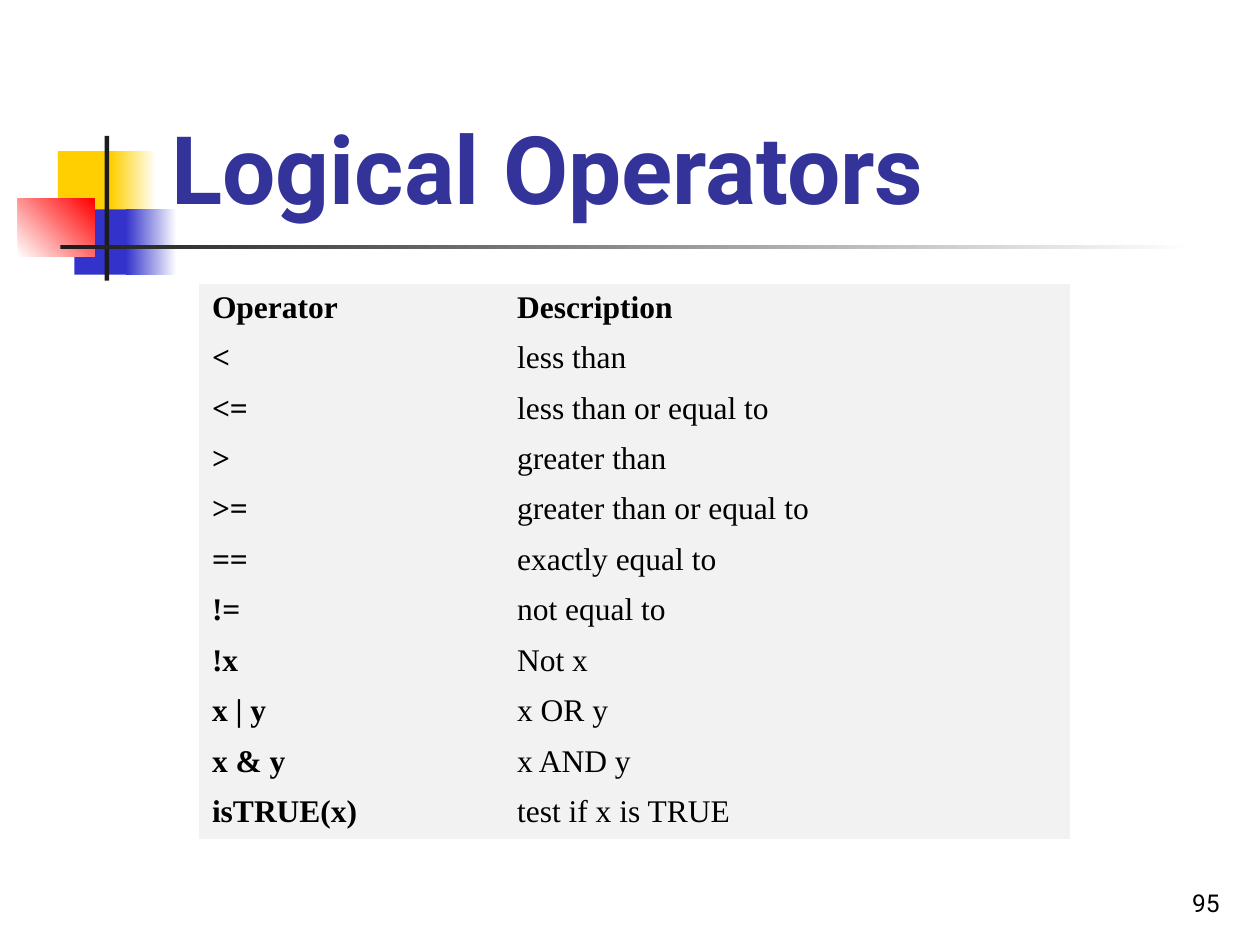
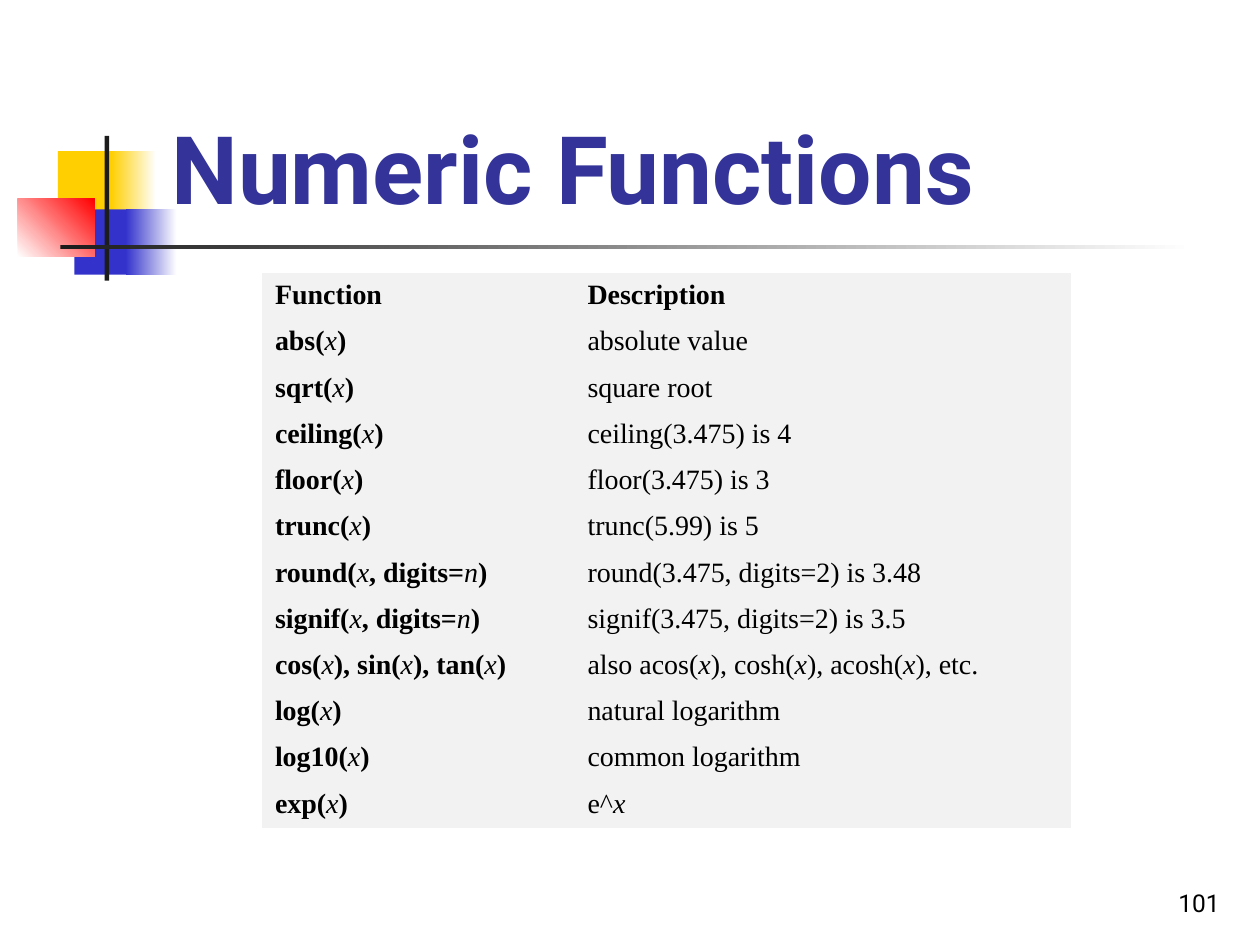
from dataclasses import dataclass

from pptx import Presentation
from pptx import util as u
from pptx.dml.color import RGBColor
from pptx.enum import shapes, text
from pptx.oxml.ns import qn


@dataclass(frozen=True)
class Theme:
    """Colours, fonts and type sizes shared by the deck."""
    yellow: str = "FFCF01"
    blue: str = "3333CC"
    red: str = "FF0000"
    dark: str = "1C1C1C"
    white: str = "FFFFFF"
    black: str = "000000"
    heading: str = "333399"
    cell: str = "F2F2F2"
    sans: str = "Roboto"
    serif: str = "Times New Roman"
    title_size: int = 54
    number_size: int = 14
    plain_table: str = "{2D5ABB26-0587-4C30-8999-92F81FD0307C}"


THEME = Theme()
TABLE_HEIGHT = 11.18

OPERATORS = [
    ("Operator", "Description"),
    ("<", "less than"),
    ("<=", "less than or equal to"),
    (">", "greater than"),
    (">=", "greater than or equal to"),
    ("==", "exactly equal to"),
    ("!=", "not equal to"),
    ("!x", "Not x"),
    ("x | y", "x OR y"),
    ("x & y", "x AND y"),
    ("isTRUE(x)", "test if x is TRUE"),
]

FUNCTIONS = [
    ("Function", "Description"),
    ("abs(*x*)", "absolute value"),
    ("sqrt(*x*)", "square root"),
    ("ceiling(*x*)", "ceiling(3.475) is 4"),
    ("floor(*x*)", "floor(3.475) is 3"),
    ("trunc(*x*)", "trunc(5.99) is 5"),
    ("round(*x*, digits=*n*)", "round(3.475, digits=2) is 3.48"),
    ("signif(*x*, digits=*n*)", "signif(3.475, digits=2) is 3.5"),
    ("cos(*x*), sin(*x*), tan(*x*)", "also acos(*x*), cosh(*x*), acosh(*x*), etc."),
    ("log(*x*)", "natural logarithm"),
    ("log10(*x*)", "common logarithm"),
    ("exp(*x*)", "e^*x*"),
]


def cm(*lengths):
    """Turn centimetre numbers into lengths."""
    return [u.Cm(length) for length in lengths]


def add_span(para, words, font, size, color, bold=False, italic=False):
    """Append one formatted run to a paragraph."""
    span = para.add_run()
    span.text = words
    span.font.name = font
    span.font.size = u.Pt(size)
    span.font.color.rgb = RGBColor.from_string(color)
    span.font.bold = bold
    span.font.italic = italic


def add_block(page, place, start, end=None, angle=0):
    """Draw a borderless rectangle, solid or fading from start to end."""
    block = page.shapes.add_shape(shapes.MSO_SHAPE.RECTANGLE, *cm(*place))
    block.shadow.inherit = False
    block.line.fill.background()
    if end is None:
        block.fill.solid()
        block.fill.fore_color.rgb = RGBColor.from_string(start)
    else:
        block.fill.gradient()
        block.fill.gradient_angle = angle
        for stop, color in zip(block.fill.gradient_stops, (start, end)):
            stop.color.rgb = RGBColor.from_string(color)
    return block


def decorate_layout(page):
    """Draw the corner ornament and move it to the page's layout."""
    blocks = [
        add_block(page, (1.17, 3.05, 1.22, 1.32), THEME.yellow),
        add_block(page, (2.24, 3.05, 0.91, 1.32), THEME.yellow, THEME.white),
        add_block(page, (1.5, 4.22, 1.17, 1.32), THEME.blue),
        add_block(page, (2.54, 4.22, 1.02, 1.32), THEME.blue, THEME.white),
        add_block(page, (0.36, 4.01, 1.55, 1.17), THEME.white, THEME.red, 45),
        add_block(page, (2.11, 2.74, 0.09, 2.92), THEME.dark),
        add_block(page, (1.22, 4.94, 22.86, 0.09), THEME.dark, THEME.white),
    ]
    for number, block in enumerate(blocks, 20):
        block.element.nvSpPr.cNvPr.id = number
        page.slide_layout.shapes.element.append(block.element)


def set_title(page, words):
    """Place and fill the title placeholder."""
    title = page.shapes.title
    title.left, title.top, title.width, title.height = cm(3.2, 0.58, 21.64, 4.06)
    frame = title.text_frame
    frame.auto_size = text.MSO_AUTO_SIZE.NONE
    frame.vertical_anchor = text.MSO_ANCHOR.BOTTOM
    para = frame.paragraphs[0]
    para.alignment = text.PP_ALIGN.LEFT
    add_span(para, words, THEME.sans, THEME.title_size, THEME.heading, bold=True)


def add_page_number(page, number):
    """Write the page number at the bottom right."""
    box = page.shapes.add_textbox(*cm(19.56, 17.35, 5.28, 1.27))
    box.text_frame.word_wrap = True
    box.text_frame.vertical_anchor = text.MSO_ANCHOR.BOTTOM
    para = box.text_frame.paragraphs[0]
    para.alignment = text.PP_ALIGN.RIGHT
    add_span(para, str(number), THEME.sans, THEME.number_size, THEME.black)


def fill_cell(cell, words, size, bold):
    """Fill a cell; words between asterisks turn italic and lose bold."""
    cell.fill.solid()
    cell.fill.fore_color.rgb = RGBColor.from_string(THEME.cell)
    para = cell.text_frame.paragraphs[0]
    for index, part in enumerate(words.split("*")):
        italic = index % 2 == 1
        if part:
            add_span(para, part, THEME.serif, size, THEME.black, bold and not italic, italic)


def add_reference_table(page, left, top, widths, entries, size):
    """Add a two-column table with equal rows, bold header and first column."""
    frame = page.shapes.add_table(
        len(entries), len(widths), *cm(left, top, sum(widths), TABLE_HEIGHT))
    for style in frame.element.iter(qn("a:tableStyleId")):
        style.text = THEME.plain_table
    table = frame.table
    table.horz_banding = False
    for column, width in zip(table.columns, widths):
        column.width = u.Cm(width)
    for r, entry in enumerate(entries):
        table.rows[r].height = u.Cm(TABLE_HEIGHT / len(entries))
        for c, words in enumerate(entry):
            fill_cell(table.cell(r, c), words, size, bold=r == 0 or c == 0)


def add_page(deck, title, number):
    """Add a title-only page with its title and number."""
    page = deck.slides.add_slide(deck.slide_layouts[5])
    set_title(page, title)
    add_page_number(page, number)
    return page


def main():
    """Build and save the deck."""
    deck = Presentation()
    deck.slide_width, deck.slide_height = cm(25.4, 19.05)

    operators = add_page(deck, "Logical Operators", 95)
    decorate_layout(operators)
    add_reference_table(operators, 4.02, 5.72, (6.15, 11.4), OPERATORS, 18)

    functions = add_page(deck, "Numeric Functions", 101)
    add_reference_table(functions, 5.29, 5.51, (6.3, 10.01), FUNCTIONS, 16)

    deck.save("out.pptx")


if __name__ == "__main__":
    main()
